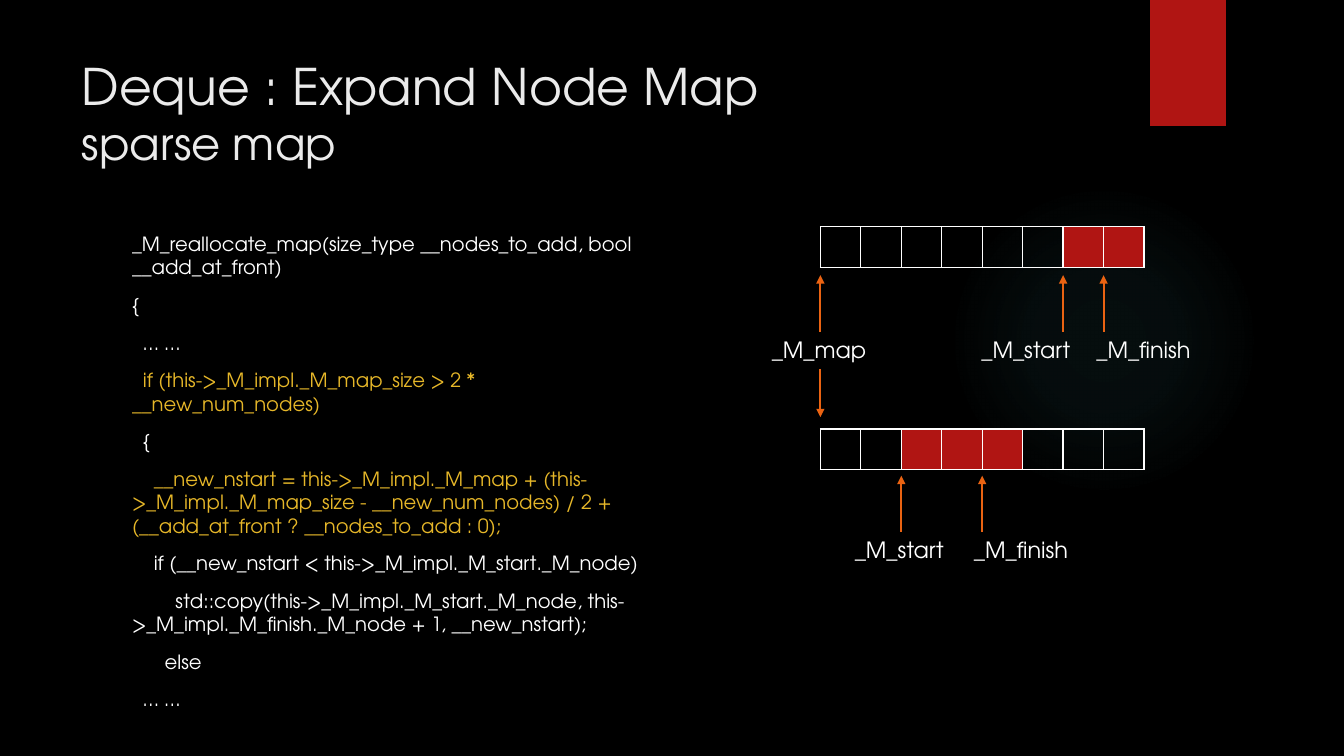
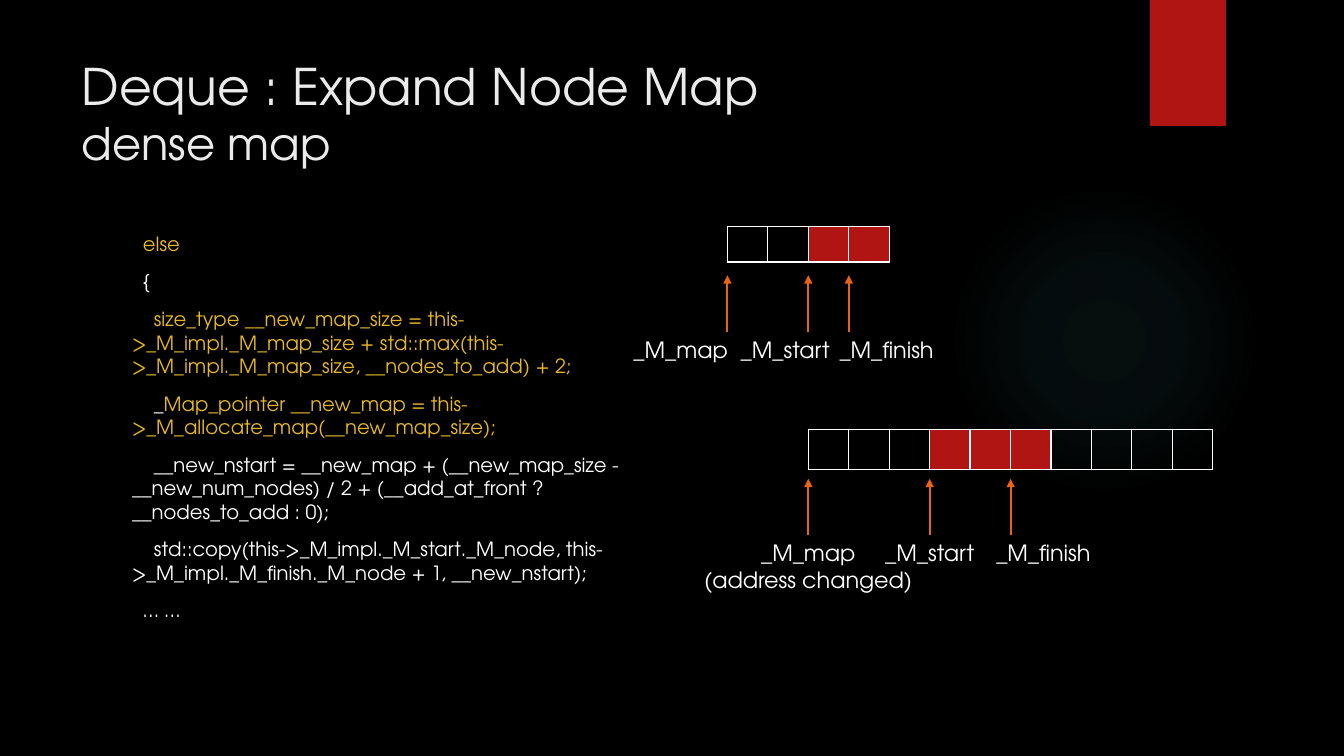
from dataclasses import dataclass

from lxml import etree
from pptx import Presentation
from pptx.dml.color import RGBColor
from pptx.enum import shapes as kinds, text as words
from pptx.oxml import parse_xml
from pptx.oxml.ns import nsdecls, qn
from pptx.util import Pt


@dataclass(frozen=True)
class Theme:
    """Colours, font and type sizes of the deck."""
    back: str = "000000"
    ink: str = "FFFFFF"
    head: str = "EBEBEB"
    gold: str = "E6B729"
    red: str = "B01513"
    arrow: str = "EA6312"
    glow: str = "50B9C1"
    font: str = "TeX Gyre Adventor"
    big: int = 36
    sub: int = 32
    label: int = 16
    code: int = 14


T = Theme()
CELL = 28.9
STEP = 3.88  # width of one code column
TITLE = (51.1, 36, 740.9, 110.2)
BODY = (87.1, 162, 391, 330.5)
WIDTH = {"_M_map": 82.8, "_M_start": 78.5, "_M_finish": 83.5,
         "(address changed)": 165.6}


def rgb(tone):
    """Turn a hex tone into a colour."""
    return RGBColor.from_string(tone)


def pts(*vals):
    """Turn numbers into point lengths."""
    return [Pt(val) for val in vals]


def write(para, text, size, tone):
    """Add one styled run to a paragraph."""
    run = para.add_run()
    run.text = text
    run.font.name, run.font.size = T.font, Pt(size)
    run.font.color.rgb = rgb(tone)


def place(shape, box):
    """Move a placeholder into a box and anchor its text at the top."""
    shape.left, shape.top, shape.width, shape.height = pts(*box)
    frame = shape.text_frame
    frame.word_wrap = True
    frame.auto_size = words.MSO_AUTO_SIZE.NONE
    frame.vertical_anchor = words.MSO_ANCHOR.TOP
    return frame


def plain(slide, kind, box):
    """Add a preset shape without line or shadow."""
    shape = slide.shapes.add_shape(kind, *pts(*box))
    shape.shadow.inherit = False
    shape.line.fill.background()
    return shape


def decor(slide, layout):
    """Draw the glow and the red tab, then move them to the layout."""
    glow = plain(slide, kinds.MSO_SHAPE.OVAL, (677.5, 131.8, 221.8, 221.8))
    glow.fill.background()
    stops = "".join(
        f'<a:gs pos="{pos}000"><a:srgbClr val="{T.glow}">'
        f'<a:alpha val="{alpha}000"/></a:srgbClr></a:gs>'
        for pos, alpha in ((0, 7), (36, 6), (69, 0), (100, 0)))
    props = glow.element.spPr
    props.replace(props.find(qn("a:noFill")), parse_xml(
        f'<a:gradFill {nsdecls("a")}><a:gsLst>{stops}</a:gsLst>'
        '<a:path path="circle"><a:fillToRect l="50000" t="50000" '
        'r="50000" b="50000"/></a:path></a:gradFill>'))
    tab = plain(slide, kinds.MSO_SHAPE.RECTANGLE, (821.6, 0, 54, 90))
    tab.fill.solid()
    tab.fill.fore_color.rgb = rgb(T.red)
    for shape in (glow, tab):
        layout.shapes.element.append(shape.element)


def title(slide, box, sub):
    """Write the two-line title."""
    shape = slide.shapes.title
    para = place(shape, box).paragraphs[0]
    para.alignment = words.PP_ALIGN.LEFT
    write(para, "Deque : Expand Node Map", T.big, T.head)
    para.add_line_break()
    for mark in shape.element.iter(qn("a:br")):
        etree.SubElement(mark, qn("a:rPr"), sz=str(T.big * 100))
    write(para, sub, T.sub, T.head)


def code(slide, box, lines):
    """List code lines, each a first-line depth and its (text, tone) runs."""
    frame = place(slide.placeholders[1], box)
    for num, (depth, *runs) in enumerate(lines):
        para = frame.add_paragraph() if num else frame.paragraphs[0]
        para.space_before = Pt(10)
        props = para._p.get_or_add_pPr()
        props.set("marL", "0")
        props.set("indent", str(Pt(depth * STEP)))
        etree.SubElement(props, qn("a:buNone"))
        for text, tone in runs:
            write(para, text, T.code, tone)


def edge(cell, sides):
    """Rule the named sides of a cell and clear the others."""
    props = cell._tc.get_or_add_tcPr()
    for side in "LRTB":
        line = etree.SubElement(props, qn(f"a:ln{side}"), w=str(Pt(1)))
        if side in sides:
            fill = etree.SubElement(line, qn("a:solidFill"))
            etree.SubElement(fill, qn("a:srgbClr"), val=T.ink)
        else:
            etree.SubElement(line, qn("a:noFill"))


def grid(slide, box, rows, cols, marks):
    """Draw a node map: ruled first and last rows, marked cells red."""
    table = slide.shapes.add_table(rows, cols, *pts(*box)).table
    table.first_row = table.horz_banding = False
    for col in table.columns:
        col.width = Pt(box[2] / cols)
    for row in table.rows:
        row.height = Pt(box[3] / rows)
    ruled = {0, rows - 1}
    for r in range(rows):
        sides = "LRTB" if r in ruled else (
            "T" * (r - 1 in ruled) + "B" * (r + 1 in ruled))
        for c in range(cols):
            cell = table.cell(r, c)
            cell.margin_top = cell.margin_bottom = 0
            edge(cell, sides)
            if (r, c) in marks:
                cell.fill.solid()
                cell.fill.fore_color.rgb = rgb(T.red)
            else:
                cell.fill.background()


def arrow(slide, x, tail, tip):
    """Draw a vertical arrow from tail to tip."""
    line = slide.shapes.add_connector(
        kinds.MSO_CONNECTOR.STRAIGHT, *pts(x, tail, x, tip))
    line.line.color.rgb = rgb(T.arrow)
    line.line.width = Pt(1.5)
    props = line.element.spPr
    etree.SubElement(props.find(qn("a:ln")), qn("a:tailEnd"), type="triangle")
    etree.SubElement(props, qn("a:effectLst"))


def label(slide, x, y, lines):
    """Write a pointer label with its corner at x, y."""
    wide = max(WIDTH[text] for text in lines)
    box = slide.shapes.add_textbox(*pts(x, y, wide, 7.4 + 19.2 * len(lines)))
    frame = box.text_frame
    frame.word_wrap = False
    frame.auto_size = words.MSO_AUTO_SIZE.SHAPE_TO_FIT_TEXT
    for num, text in enumerate(lines):
        para = frame.add_paragraph() if num else frame.paragraphs[0]
        if len(lines) > 1:
            para.alignment = words.PP_ALIGN.CENTER
        write(para, text, T.label, T.ink)


def point(slide, left, tip, pins):
    """Point at cell edges; a pin is a column, a label shift and lines."""
    for col, shift, *lines in pins:
        x = left + col * CELL
        arrow(slide, x, tip + 40.3, tip)
        label(slide, x + shift, tip + 39.8, lines)


def page(deck, layout, sub, lines):
    """Add a slide with title and code."""
    slide = deck.slides.add_slide(layout)
    title(slide, TITLE, sub)
    code(slide, BODY, lines)
    return slide


def sparse(slide, left, top):
    """Draw the map whose nodes are moved in place."""
    grid(slide, (left, top, 8 * CELL, 6 * CELL), 6, 8,
         {(0, 6), (0, 7), (5, 2), (5, 3), (5, 4)})
    point(slide, left, top + 34.6, [
        (0, -41.8, "_M_map"), (6, -65.5, "_M_start"), (7, -12.2, "_M_finish")])
    arrow(slide, left, top + 101.5, top + 136)
    point(slide, left, top + 177.8, [
        (2, -40.3, "_M_start"), (4, -13, "_M_finish")])


def dense(slide, left, top):
    """Draw the full map and the larger map that replaces it."""
    grid(slide, (left, top, 4 * CELL, 25.2), 1, 4, {(0, 2), (0, 3)})
    point(slide, left, top + 34.6, [
        (0, -74.2, "_M_map"), (2, -55.4, "_M_start"), (3, -13.7, "_M_finish")])
    left, top = left + 2 * CELL, top + 5 * CELL
    grid(slide, (left, top, 10 * CELL, CELL), 1, 10,
         {(0, 3), (0, 4), (0, 5)})
    point(slide, left, top + 35.5, [
        (0, -82.8, "_M_map", "(address changed)"),
        (3, -38.9, "_M_start"), (5, -17.3, "_M_finish")])


DOTS = (2, ("… …", T.ink))
COPY = ("std::copy(this->_M_impl._M_start._M_node, "
        "this->_M_impl._M_finish._M_node + 1, __new_nstart);", T.ink)
SPARSE = [
    (0, ("_M_reallocate_map(size_type __nodes_to_add, bool __add_at_front)",
         T.ink)),
    (0, ("{", T.ink)),
    DOTS,
    (2, ("if (this->_M_impl._M_map_size > 2 * __new_num_nodes)", T.gold)),
    (2, ("{", T.ink)),
    (4, ("__new_nstart = this->_M_impl._M_map + (this->_M_impl._M_map_size - "
         "__new_num_nodes) / 2 + (__add_at_front ? __nodes_to_add : 0);",
         T.gold)),
    (4, ("if (__new_nstart < this->_M_impl._M_start._M_node)", T.ink)),
    (8, COPY),
    (6, ("else", T.ink)),
    DOTS,
]
DENSE = [
    (2, ("else", T.gold)),
    (2, ("{", T.ink)),
    (4, ("size_type __new_map_size = this->_M_impl._M_map_size + "
         "std::max(this->_M_impl._M_map_size, __nodes_to_add) + 2;", T.gold)),
    (4, ("_", T.ink),
     ("Map_pointer __new_map = this->_M_allocate_map(__new_map_size);",
      T.gold)),
    (4, ("__new_nstart = __new_map + (__new_map_size - __new_num_nodes) / 2 "
         "+ (__add_at_front ? __nodes_to_add : 0);", T.ink)),
    (4, COPY),
    DOTS,
]


def main():
    """Build and save the deck."""
    deck = Presentation()
    deck.slide_width, deck.slide_height = pts(960, 540)
    fill = deck.slide_master.background.fill
    fill.solid()
    fill.fore_color.rgb = rgb(T.back)
    layout = deck.slide_layouts[1]
    first = page(deck, layout, "sparse map", SPARSE)
    decor(first, layout)
    sparse(first, 586, 162)
    dense(page(deck, layout, "dense map", DENSE), 519.6, 162)
    deck.save("out.pptx")


main()
